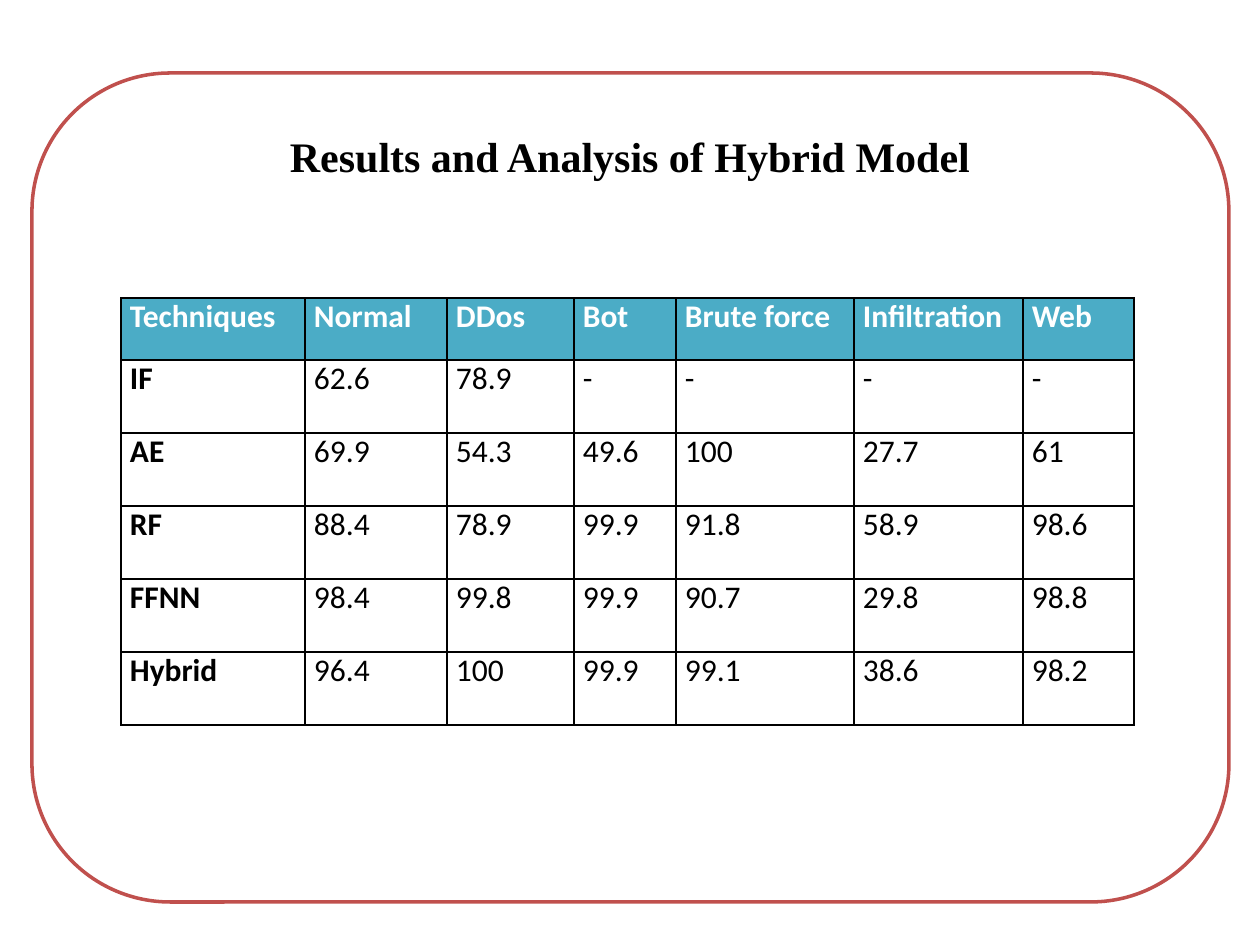
import pptx
import pptx.dml.color
import pptx.enum.shapes
import pptx.enum.text
import pptx.oxml
import pptx.oxml.ns
import pptx.util


def px(length):
    return pptx.util.Emu(round(length * 914400 / 126))


def color(value):
    return pptx.dml.color.RGBColor.from_string(value)


presentation = pptx.Presentation()
presentation.slide_width = px(1260)
presentation.slide_height = px(945)
slide = presentation.slides.add_slide(presentation.slide_layouts[5])

frame = slide.shapes.add_shape(
    pptx.enum.shapes.MSO_SHAPE.ROUNDED_RECTANGLE, px(32), px(73), px(1197), px(829)
)
frame.shadow.inherit = False
frame.fill.solid()
frame.fill.fore_color.rgb = color("FFFFFF")
frame.line.color.rgb = color("C0504D")
frame.line.width = pptx.util.Pt(2)
slide.shapes._spTree.insert(2, frame._element)

heading = slide.shapes.title
heading.left, heading.top, heading.width, heading.height = px(63), px(108), px(1134), px(95)
heading.text_frame.text = "Results and Analysis of Hybrid Model"
heading.text_frame.vertical_anchor = pptx.enum.text.MSO_ANCHOR.MIDDLE
heading_line = heading.text_frame.paragraphs[0]
heading_line.alignment = pptx.enum.text.PP_ALIGN.CENTER
heading_font = heading_line.runs[0].font
heading_font.name = "Times New Roman"
heading_font.size = pptx.util.Pt(24)
heading_font.bold = True
heading_font.color.rgb = color("000000")

results = [
    ["Techniques", "Normal", "DDos", "Bot", "Brute force", "Infiltration", "Web"],
    ["IF", "62.6", "78.9", "-", "-", "-", "-"],
    ["AE", "69.9", "54.3", "49.6", "100", "27.7", "61"],
    ["RF", "88.4", "78.9", "99.9", "91.8", "58.9", "98.6"],
    ["FFNN", "98.4", "99.8", "99.9", "90.7", "29.8", "98.8"],
    ["Hybrid", "96.4", "100", "99.9", "99.1", "38.6", "98.2"],
]
column_widths = [184, 142, 127, 102, 178, 169, 111]
row_heights = [62] + [73] * 5

scores = slide.shapes.add_table(
    len(results), len(column_widths), px(121), px(298), px(sum(column_widths)), px(sum(row_heights))
).table
for column, width in zip(scores.columns, column_widths):
    column.width = px(width)
for row, height in zip(scores.rows, row_heights):
    row.height = px(height)

for row_index, values in enumerate(results):
    is_header = row_index == 0
    for column_index, value in enumerate(values):
        cell = scores.cell(row_index, column_index)
        cell.margin_left = cell.margin_right = px(9)
        cell.margin_top = cell.margin_bottom = 0
        cell.text_frame.text = value
        entry = cell.text_frame.paragraphs[0]
        entry.alignment = pptx.enum.text.PP_ALIGN.JUSTIFY
        font = entry.runs[0].font
        font.name = "Calibri"
        font.size = pptx.util.Pt(18)
        font.bold = is_header or column_index == 0
        font.color.rgb = color("FFFFFF" if is_header else "000000")

        properties = cell._tc.get_or_add_tcPr()
        for side in ("lnL", "lnR", "lnT", "lnB"):
            properties.append(pptx.oxml.parse_xml(
                f'<a:{side} {pptx.oxml.ns.nsdecls("a")} w="12700">'
                f'<a:solidFill><a:srgbClr val="000000"/></a:solidFill></a:{side}>'
            ))
        cell.fill.solid()
        cell.fill.fore_color.rgb = color("4BACC6" if is_header else "FFFFFF")

presentation.save("out.pptx")
